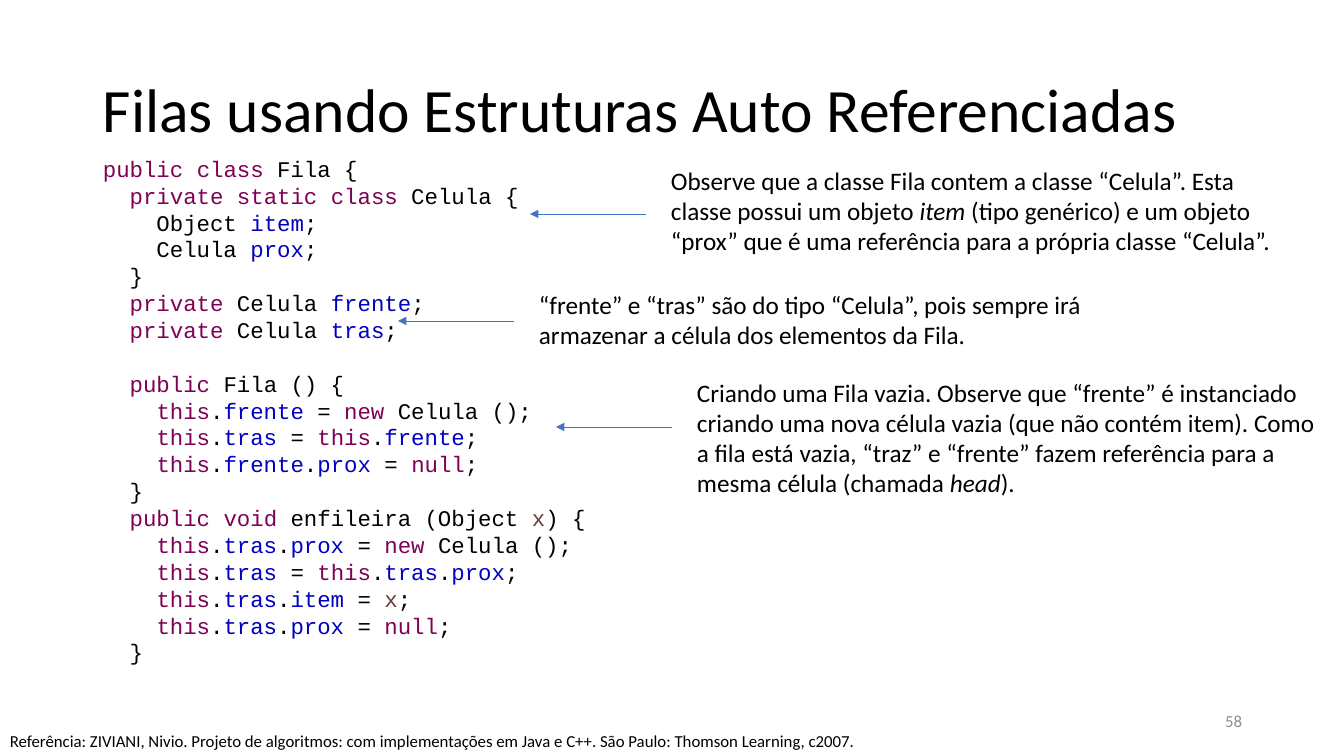
from itertools import groupby

from lxml.etree import SubElement
from pptx import Presentation
from pptx.dml.color import RGBColor
from pptx.enum.shapes import MSO_CONNECTOR
from pptx.enum.text import MSO_ANCHOR, PP_ALIGN
from pptx.oxml.ns import qn
from pptx.util import Emu, Pt

# Colours
BLACK = RGBColor(0x00, 0x00, 0x00)
GRAY = RGBColor(0x8C, 0x8C, 0x8C)
BLUE = RGBColor(0x44, 0x72, 0xC4)
KEYWORD = RGBColor(0x7F, 0x00, 0x55)
FIELD = RGBColor(0x00, 0x00, 0xC0)
PARAM = RGBColor(0x6A, 0x3E, 0x3E)

WORD_COLORS = {
    **dict.fromkeys("public private static class void this new null".split(), KEYWORD),
    **dict.fromkeys("item prox frente tras".split(), FIELD),
    "x": PARAM,
}

LINE_PT = 19.2
ARROW_GAP, ARROW_LENGTH = 15, 116
NOTE_WIDTH = 640

# Code, in blocks set apart by one line
CODE_BLOCKS = [
    """public class Fila {
  private static class Celula {
    Object item;
    Celula prox;
  }
  private Celula frente;
  private Celula tras;""",
    """  public Fila () {
    this.frente = new Celula ();
    this.tras = this.frente;
    this.frente.prox = null;
  }
  public void enfileira (Object x) {
    this.tras.prox = new Celula ();
    this.tras = this.tras.prox;
    this.tras.item = x;
    this.tras.prox = null;
  }""",
]

# Left, top, height, arrow height, text with *italics*
NOTES = [
    (661, 160, 102, 214,
     "Observe que a classe Fila contem a classe “Celula”. Esta classe possui um "
     "objeto *item* (tipo genérico) e um objeto “prox” que é uma referência para "
     "a própria classe “Celula”."),
    (529, 284, 72, 321,
     "“frente” e “tras” são do tipo “Celula”, pois sempre irá armazenar a célula "
     "dos elementos da Fila."),
    (687, 372, 132, 427,
     "Criando uma Fila vazia. Observe que “frente” é instanciado criando uma nova "
     "célula vazia (que não contém item). Como a fila está vazia, “traz” e "
     "“frente” fazem referência para a mesma célula (chamada *head*)."),
]


def px(n):
    return Emu(round(n * 914400 / 100.8))


def add_box(s, x, y, w, h, anchor=MSO_ANCHOR.TOP):
    sp = s.shapes.add_textbox(px(x), px(y), px(w), px(h))
    tf = sp.text_frame
    tf.word_wrap = True
    tf.vertical_anchor = anchor
    return tf


def add_run(p, text, size, color=BLACK, font="Calibri"):
    r = p.add_run()
    r.text = text
    r.font.size = Pt(size)
    r.font.name = font
    r.font.color.rgb = color
    return r


def add_text(s, x, y, w, h, text, size, color=BLACK, anchor=MSO_ANCHOR.TOP):
    p = add_box(s, x, y, w, h, anchor).paragraphs[0]
    for i, part in enumerate(text.split("*")):
        r = add_run(p, part, size, color)
        r.font.italic = i % 2 == 1
    return p


def add_code(s, x, y, w, h, blocks):
    tf = add_box(s, x, y, w, h)
    p = tf.paragraphs[0]
    for b, block in enumerate(blocks):
        for i, line in enumerate(block.splitlines()):
            if b or i:
                p = tf.add_paragraph()
            p.line_spacing = Pt(LINE_PT)
            if b and i == 0:
                p.space_before = Pt(LINE_PT)
            for _, chars in groupby(line, str.isalnum):
                word = "".join(chars)
                add_run(p, word, 16, WORD_COLORS.get(word, BLACK), "Courier New")


def add_arrow(s, x1, x2, y):
    sp = s.shapes.add_connector(MSO_CONNECTOR.STRAIGHT, px(x1), px(y), px(x2), px(y))
    sp.line.color.rgb = BLUE
    sp.line.width = Pt(0.5)
    SubElement(sp.line._get_or_add_ln(), qn("a:tailEnd"), type="triangle")
    SubElement(sp._element.spPr, qn("a:effectLst"))


def add_note(s, x, y, h, arrow_y, text):
    start = x - ARROW_GAP
    add_arrow(s, start, start - ARROW_LENGTH, arrow_y)
    add_text(s, x, y, NOTE_WIDTH, h, text, 18)


def main():
    prs = Presentation()
    prs.slide_width, prs.slide_height = px(1344), px(756)
    s = prs.slides.add_slide(prs.slide_layouts[6])

    # Title
    p = add_text(s, 93, 40, 1159, 146, "Filas usando Estruturas Auto Referenciadas",
                 44, anchor=MSO_ANCHOR.MIDDLE)
    p.line_spacing = 0.9

    # Code and its notes
    add_code(s, 93, 150, 672, 554, CODE_BLOCKS)
    for note in NOTES:
        add_note(s, *note)

    # Slide number and reference
    p = add_text(s, 950, 701, 302, 40, "58", 12, GRAY, MSO_ANCHOR.MIDDLE)
    p.alignment = PP_ALIGN.RIGHT
    add_text(s, 0, 726, 923, 30,
             "Referência: ZIVIANI, Nivio. Projeto de algoritmos: com implementações "
             "em Java e C++. São Paulo: Thomson Learning, c2007.", 12)

    prs.save("out.pptx")


if __name__ == "__main__":
    main()
